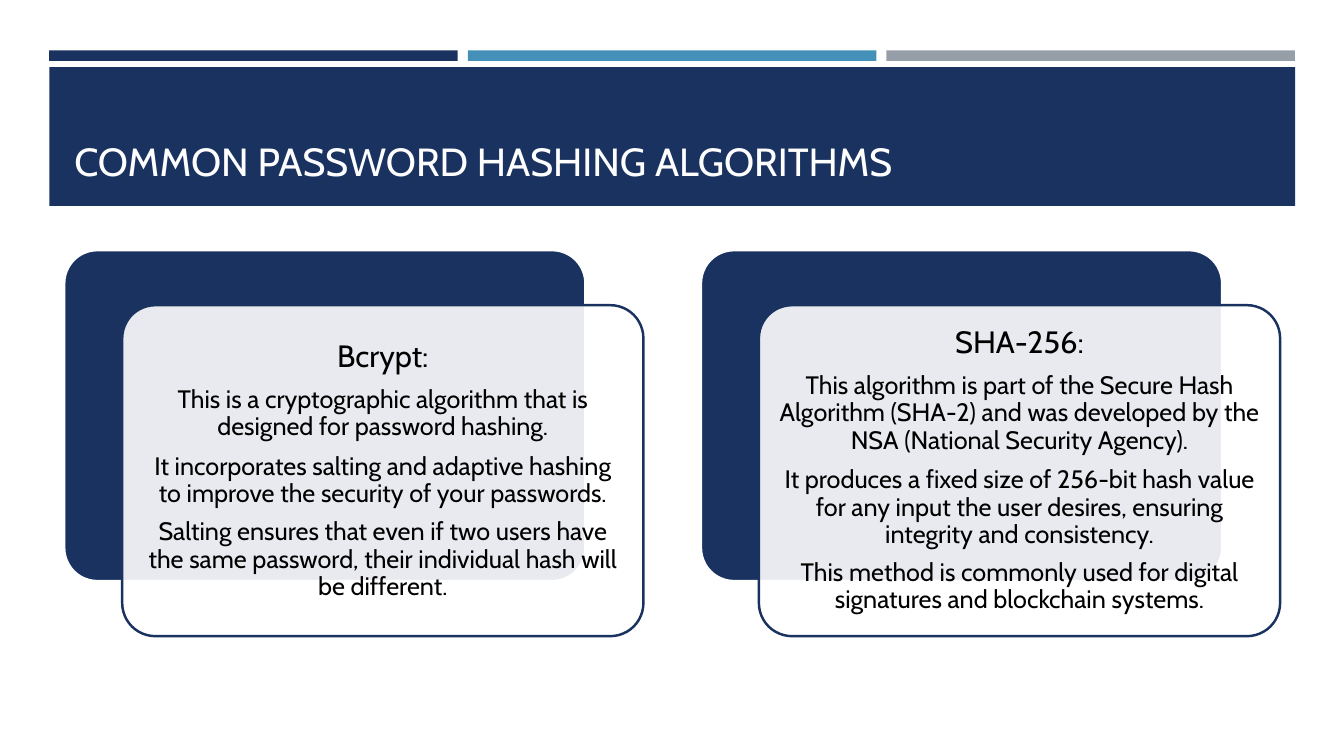
from lxml.etree import SubElement
from pptx import Presentation
from pptx.dml.color import RGBColor
from pptx.enum.shapes import MSO_SHAPE
from pptx.enum.text import MSO_ANCHOR, PP_ALIGN
from pptx.oxml.ns import qn
from pptx.util import Pt

# Content
TITLE = "COMMON PASSWORD HASHING ALGORITHMS"
CARDS = [
    ("Bcrypt:", [
        "This is a cryptographic algorithm that is designed for password hashing.",
        "It incorporates salting and adaptive hashing to improve the security of your passwords.",
        "Salting ensures that even if two users have the same password, "
        "their individual hash will be different.",
    ]),
    ("SHA-256:", [
        "This algorithm is part of the Secure Hash Algorithm (SHA-2) and was developed "
        "by the NSA (National Security Agency).",
        "It produces a fixed size of 256-bit hash value for any input the user desires, "
        "ensuring integrity and consistency.",
        "This method is commonly used for digital signatures and blockchain systems.",
    ]),
]

# Style and layout, in points
FONT = "Cabin"
NAVY, BLUE, GREY, WHITE, BLACK = "1A3260", "4590B8", "969FA7", "FFFFFF", "000000"
TITLE_COLOR = "FFFEFF"
STRIPES = [NAVY, BLUE, GREY]
STRIPE_LEFT, STRIPE_TOP, STRIPE_STEP = 35.2, 36, 299
STRIPE_WIDTH, STRIPE_HEIGHT = 291.8, 7.5
CARD_LEFT, CARD_TOP, CARD_STEP = 45.9, 178.7, 454.8
CARD_WIDTH, CARD_HEIGHT = 372.3, 236.4
FRONT_SHIFT_X, FRONT_SHIFT_Y = 41.4, 39.3
CARD_MARGIN = 6.8


def color(hex_string):
    return RGBColor.from_string(hex_string)


def add_box(kind, left, top, width, height, fill, line=None):
    shape = slide.shapes.add_shape(kind, Pt(left), Pt(top), Pt(width), Pt(height))
    shape.shadow.inherit = False
    shape.fill.solid()
    shape.fill.fore_color.rgb = color(fill)
    if line:
        shape.line.color.rgb = color(line)
        shape.line.width = Pt(1.75)
    else:
        shape.line.fill.background()
    return shape


def add_card(left, top, fill, line):
    card = add_box(MSO_SHAPE.ROUNDED_RECTANGLE, left, top, CARD_WIDTH, CARD_HEIGHT, fill, line)
    card.adjustments[0] = 0.1
    return card


def add_run(paragraph, text, size, text_color):
    run = paragraph.add_run()
    run.text = text
    run.font.name = FONT
    run.font.size = Pt(size)
    run.font.color.rgb = color(text_color)


def set_opacity(shape, percent):
    fill_color = shape.fill._xPr.find(qn("a:solidFill"))[0]
    SubElement(fill_color, qn("a:alpha")).set("val", str(percent * 1000))


presentation = Presentation()
presentation.slide_width, presentation.slide_height = Pt(960), Pt(540)
slide = presentation.slides.add_slide(presentation.slide_layouts[6])

# Title band and stripes
add_box(MSO_SHAPE.RECTANGLE, 35.2, 48, 890, 99, NAVY)
for index, stripe_color in enumerate(STRIPES):
    add_box(MSO_SHAPE.RECTANGLE, STRIPE_LEFT + index * STRIPE_STEP, STRIPE_TOP,
            STRIPE_WIDTH, STRIPE_HEIGHT, stripe_color)

# Title
title = slide.shapes.add_textbox(Pt(46), Pt(55.5), Pt(868), Pt(80))
title.text_frame.word_wrap = True
title.text_frame.vertical_anchor = MSO_ANCHOR.BOTTOM
add_run(title.text_frame.paragraphs[0], TITLE, 28, TITLE_COLOR)

# Cards: a solid back panel with a translucent text panel in front
for index, (heading, points) in enumerate(CARDS):
    left = CARD_LEFT + index * CARD_STEP
    add_card(left, CARD_TOP, NAVY, WHITE)
    front = add_card(left + FRONT_SHIFT_X, CARD_TOP + FRONT_SHIFT_Y, WHITE, NAVY)
    set_opacity(front, 90)

    frame = front.text_frame
    frame.word_wrap = True
    frame.vertical_anchor = MSO_ANCHOR.MIDDLE
    frame.margin_left = frame.margin_right = Pt(CARD_MARGIN)
    frame.margin_top = frame.margin_bottom = Pt(CARD_MARGIN)
    for position, text in enumerate([heading] + points):
        paragraph = frame.add_paragraph() if position else frame.paragraphs[0]
        paragraph.alignment = PP_ALIGN.CENTER
        paragraph.line_spacing = 0.9
        paragraph.space_after = Pt(8 if position > 1 else 9)
        add_run(paragraph, text, 18 if position else 22, BLACK)

presentation.save("out.pptx")
